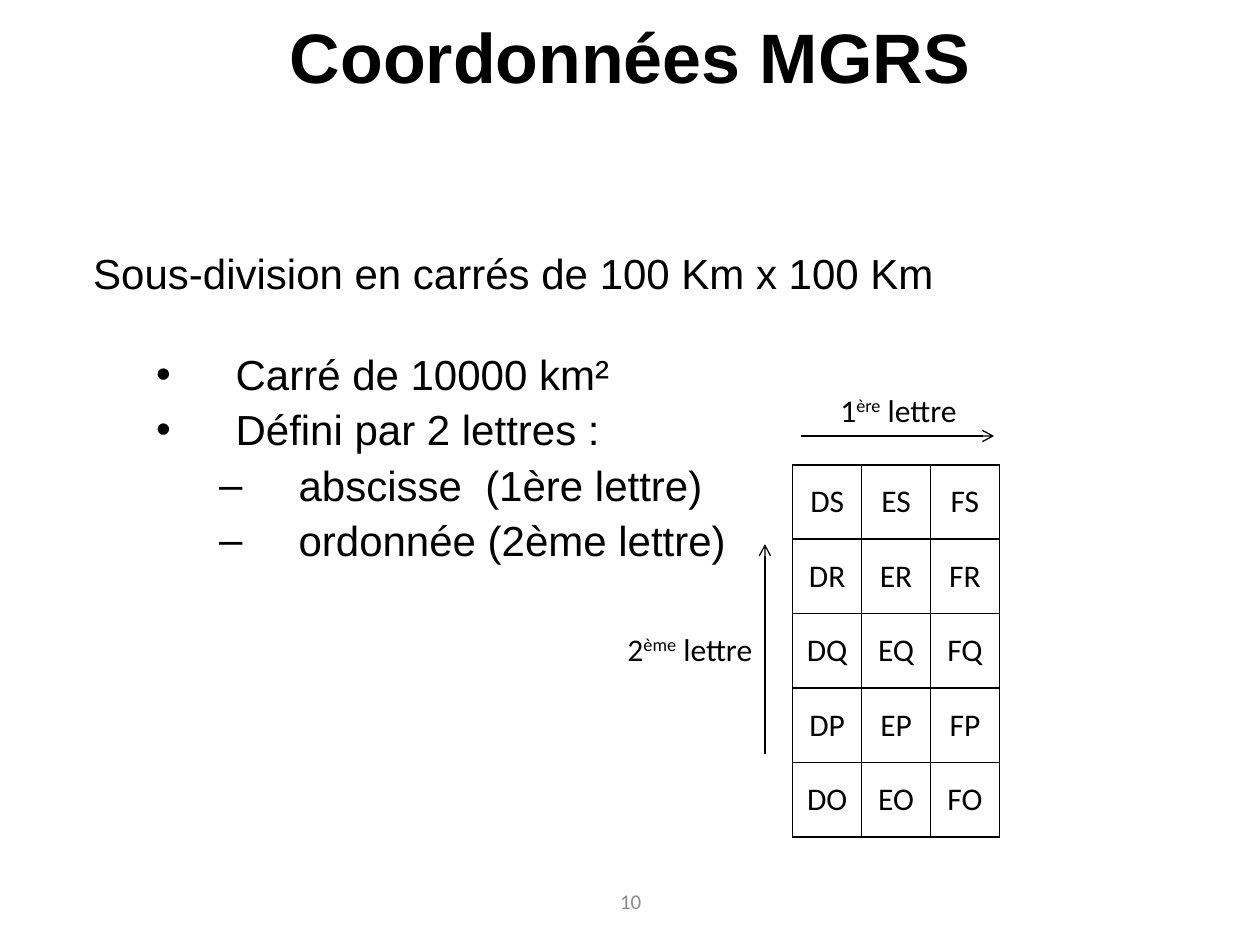
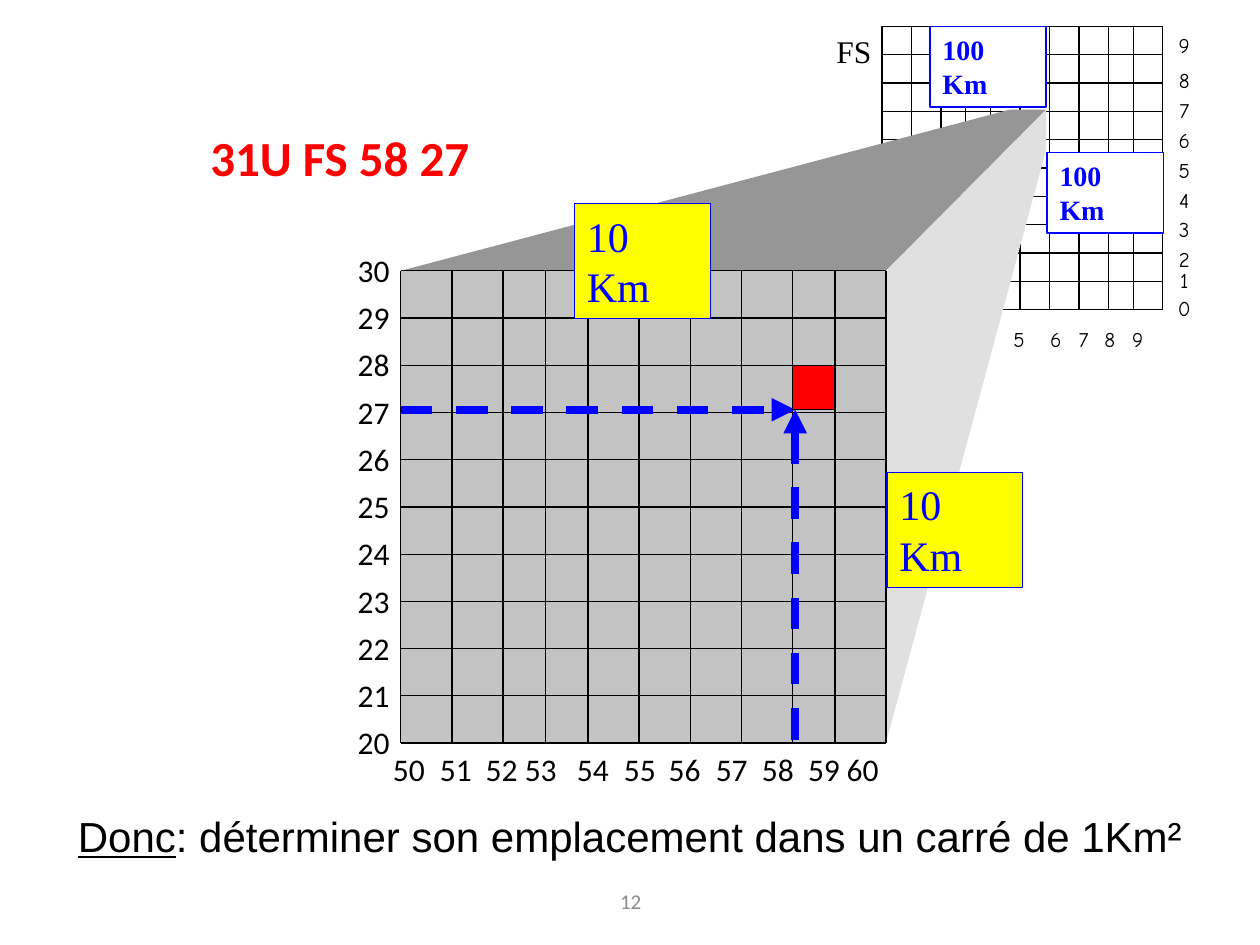
import itertools

import pptx
import pptx.dml.color
import pptx.enum.dml
import pptx.enum.shapes
import pptx.enum.text
import pptx.oxml
import pptx.oxml.ns
import pptx.util

Cm, Pt = pptx.util.Cm, pptx.util.Pt
RGBColor = pptx.dml.color.RGBColor
Align = pptx.enum.text.PP_ALIGN
Anchor = pptx.enum.text.MSO_ANCHOR
Shape = pptx.enum.shapes.MSO_SHAPE
Link = pptx.enum.shapes.MSO_CONNECTOR
qn = pptx.oxml.ns.qn

BLACK = RGBColor(0x00, 0x00, 0x00)
WHITE = RGBColor(0xFF, 0xFF, 0xFF)
GREY = RGBColor(0x8C, 0x8C, 0x8C)
RED = RGBColor(0xFF, 0x00, 0x00)
BLUE = RGBColor(0x00, 0x00, 0xFF)
YELLOW = RGBColor(0xFF, 0xFF, 0x00)
FRONT = RGBColor(0xC3, 0xC3, 0xC3)
TOP = RGBColor(0x96, 0x96, 0x96)
SIDE = RGBColor(0xE0, 0xE0, 0xE0)

SANS, BODY, SERIF, HAND = "Arial", "Calibri", "Times New Roman", "Comic Neue"
PAGE = (25.4, 19.05)
THIN = 0.75
COLS = (12, 12, 10, 10, 12, 12, 12, 12, 10, 12)  # relative column widths of both grids
ROWS = 10


def node(parent, tag, **attrs):
    """Append a DrawingML element to parent and return it."""
    child = pptx.oxml.parse_xml(f"<a:{tag} {pptx.oxml.ns.nsdecls('a')}/>")
    for key, value in attrs.items():
        child.set(key, str(value))
    parent.append(child)
    return child


def write(frame, paras, size=18, font=BODY, color=BLACK, bold=False,
          align=Align.LEFT, anchor=Anchor.TOP, wrap=True, gap=0, lead=None):
    """Fill a text frame; a paragraph is a string or a list of (text, format) runs."""
    frame.word_wrap = wrap
    frame.vertical_anchor = anchor
    for i, runs in enumerate([paras] if isinstance(paras, str) else paras):
        para = frame.paragraphs[0] if i == 0 else frame.add_paragraph()
        para.alignment = align
        para.space_before = Pt(gap if i else 0)
        if lead:
            para.line_spacing = lead
        for words, style in [(runs, {})] if isinstance(runs, str) else runs:
            run = para.add_run()
            run.text = words
            run.font.size, run.font.name = Pt(size), font
            run.font.bold, run.font.color.rgb = bold, color
            if style.get("under"):
                run.font.underline = True
            if style.get("raised"):
                run.font._element.set("baseline", "30000")


def text(slide, box, paras, **style):
    shape = slide.shapes.add_textbox(*map(Cm, box))
    write(shape.text_frame, paras, **style)
    return shape.text_frame


def paint(shape, fill, line=None):
    shape.shadow.inherit = False
    shape.fill.solid()
    shape.fill.fore_color.rgb = fill
    if line is None:
        shape.line.fill.background()
    else:
        shape.line.color.rgb = line
        shape.line.width = Pt(THIN)


def rect(slide, box, fill, line=None):
    shape = slide.shapes.add_shape(Shape.RECTANGLE, *map(Cm, box))
    paint(shape, fill, line)
    return shape


def face(slide, points, fill):
    """Draw a filled polygon without outline."""
    start, *rest = [(Cm(x), Cm(y)) for x, y in points]
    build = slide.shapes.build_freeform(*start)
    build.add_line_segments(rest)
    paint(build.convert_to_shape(), fill)


def line(slide, start, end, color=BLACK, width=THIN, dash=False, head=None):
    link = slide.shapes.add_connector(Link.STRAIGHT, *map(Cm, (*start, *end)))
    link.line.color.rgb = color
    link.line.width = Pt(width)
    if dash:
        link.line.dash_style = pptx.enum.dml.MSO_LINE.DASH
    props = link.element.spPr
    if head:
        node(props.find(qn("a:ln")), "tailEnd", type=head)
    node(props, "effectLst")


def grid(slide, box, fill):
    """Draw a square of ten rows and ten columns."""
    left, top, width, height = box
    rect(slide, box, fill)
    for part in itertools.accumulate(COLS, initial=0):
        x = left + width * part / sum(COLS)
        line(slide, (x, top), (x, top + height))
    for i in range(ROWS + 1):
        y = top + height * i / ROWS
        line(slide, (left, y), (left + width, y))


def label(slide, box, words, fill, size, bold=False):
    """Draw a framed distance label."""
    shape = rect(slide, box, fill, BLUE)
    write(shape.text_frame, words, size=size, font=SERIF, color=BLUE, bold=bold)


def digit(slide, x, y, number):
    text(slide, (x, y, 0.91, 0.76), str(number), size=12, font=HAND, align=Align.CENTER)


def bullet(para, mark, left):
    props = para._p.get_or_add_pPr()
    props.set("marL", str(Cm(left)))
    props.set("indent", str(Cm(-1.6)))
    node(props, "buFont", typeface=SANS)
    node(props, "buChar", char=mark)


def edge(cell):
    """Give a table cell a black border and no fill."""
    props = cell._tc.get_or_add_tcPr()
    for side in "LRTB":
        border = node(props, f"ln{side}", w=Pt(1))
        node(node(border, "solidFill"), "srgbClr", val=BLACK)
    cell.fill.background()


def table(slide, x, y, width, height, cols, rows):
    """Draw a table of squares named by column letter, then row letter."""
    box = (x, y, width * len(cols), height * len(rows))
    squares = slide.shapes.add_table(len(rows), len(cols), *map(Cm, box)).table
    squares.first_row = squares.horz_banding = False
    for col in squares.columns:
        col.width = Cm(width)
    for r, second in enumerate(rows):
        squares.rows[r].height = Cm(height)
        for c, first in enumerate(cols):
            cell = squares.cell(r, c)
            write(cell.text_frame, first + second, align=Align.CENTER)
            cell.vertical_anchor = Anchor.MIDDLE
            edge(cell)


def page(deck, number):
    """Add a blank slide with its page number."""
    slide = deck.slides.add_slide(deck.slide_layouts[6])
    text(slide, (8.69, 17.65, 8.05, 1.02), str(number), size=12, color=GREY,
         align=Align.CENTER, anchor=Anchor.MIDDLE)
    return slide


def squares(deck):
    slide = page(deck, 10)
    points = [
        ("Sous-division en carrés de 100 Km x 100 Km", None, 0),
        ("Carré de 10000 km²", "•", 2.87),
        ("Défini par 2 lettres :", "•", 2.87),
        ("abscisse  (1ère lettre)", "–", 4.14),
        ("ordonnée (2ème lettre)", "–", 4.14),
    ]
    frame = text(slide, (1.63, 4.97, 21.89, 12), [words for words, _, _ in points],
                 size=24, font=SANS, gap=5.8, lead=0.9)
    frame.paragraphs[1].space_before = Pt(31.8)
    for para, (_, mark, left) in zip(frame.paragraphs, points):
        if mark:
            bullet(para, mark, left)
    text(slide, (0, 0.15, 25.4, 2.97), "Coordonnées MGRS", size=40, font=SANS,
         bold=True, align=Align.CENTER)

    table(slide, 15.98, 9.37, 1.39, 1.5, "DEF", "SRQPO")
    line(slide, (15.42, 15.19), (15.42, 10.97), head="arrow")
    line(slide, (16.15, 8.79), (20.04, 8.79), head="arrow")
    for box, rank, suffix in [((16.69, 7.75, 2.97, 1.02), "1", "ère"),
                              ((12.4, 12.57, 3.18, 1.02), "2", "ème")]:
        runs = [(rank, {}), (suffix, {"raised": True}), (" lettre", {})]
        text(slide, box, [runs], wrap=False)


def zoom(deck):
    slide = page(deck, 12)
    text(slide, (0, 16.21, 25.4, 2.11),
         [[("Donc", {"under": True}),
           (": déterminer son emplacement dans un carré de 1Km²", {})]],
         size=24, font=SANS, align=Align.CENTER)
    text(slide, (16.61, 0.53, 1.37, 1.02), "FS", font=SERIF)

    left, top, width, height = big = (8.08, 5.46, 9.78, 9.52)
    right, base = left + width, top + height
    grid(slide, (17.78, 0.53, 5.66, 5.71), WHITE)
    face(slide, [(left, top), (20.36, 2.21), (21.09, 2.21), (right, top)], TOP)
    face(slide, [(right, top), (21.09, 2.21), (21.09, 3.02), (right, base)], SIDE)
    grid(slide, big, FRONT)

    for x, y in [(21.11, 3.07), (18.75, 0.53)]:
        label(slide, (x, y, 2.34, 1.63), "100 Km", WHITE, 16, bold=True)
    for x, y in [(17.88, 9.53), (11.58, 4.11)]:
        label(slide, (x, y, 2.74, 2.31), "10 Km", YELLOW, 24)

    goal = (16.03, 8.26)
    for start in [(goal[0], 14.91), (left, goal[1])]:
        line(slide, start, goal, BLUE, 4.5, dash=True, head="triangle")

    heights = (5.84, 5.26, 4.85, 4.24, 3.66, 3.05, 2.44, 1.85, 1.24, 0.53)
    for number, y in enumerate(heights):
        digit(slide, 23.42, y, number)
    for number, x in enumerate((20.09, 20.83, 21.39, 21.92, 22.48), 5):
        digit(slide, x, 6.45, number)

    text(slide, (6.96, 4.93, 1.17, 10.77), [str(n) for n in range(30, 19, -1)],
         wrap=False, gap=5.4)
    axis = text(slide, (7.67, 14.99, 10.46, 1.02), "\t".join(map(str, range(50, 61))))
    stops = node(axis.paragraphs[0]._p.get_or_add_pPr(), "tabLst")
    for stop in (0.95, 1.87, 2.66, 3.71, 4.66, 5.56, 6.51, 7.44, 8.37, 9.15):
        node(stops, "tab", pos=Cm(stop), algn="l")

    rect(slide, (15.98, 7.37, 0.84, 0.89), RED, BLACK)
    text(slide, (3.99, 2.44, 5.82, 1.45), "31U FS 58 27", size=28, color=RED,
         bold=True, wrap=False)


def main():
    deck = pptx.Presentation()
    deck.slide_width, deck.slide_height = map(Cm, PAGE)
    squares(deck)
    zoom(deck)
    deck.save("out.pptx")


if __name__ == "__main__":
    main()
